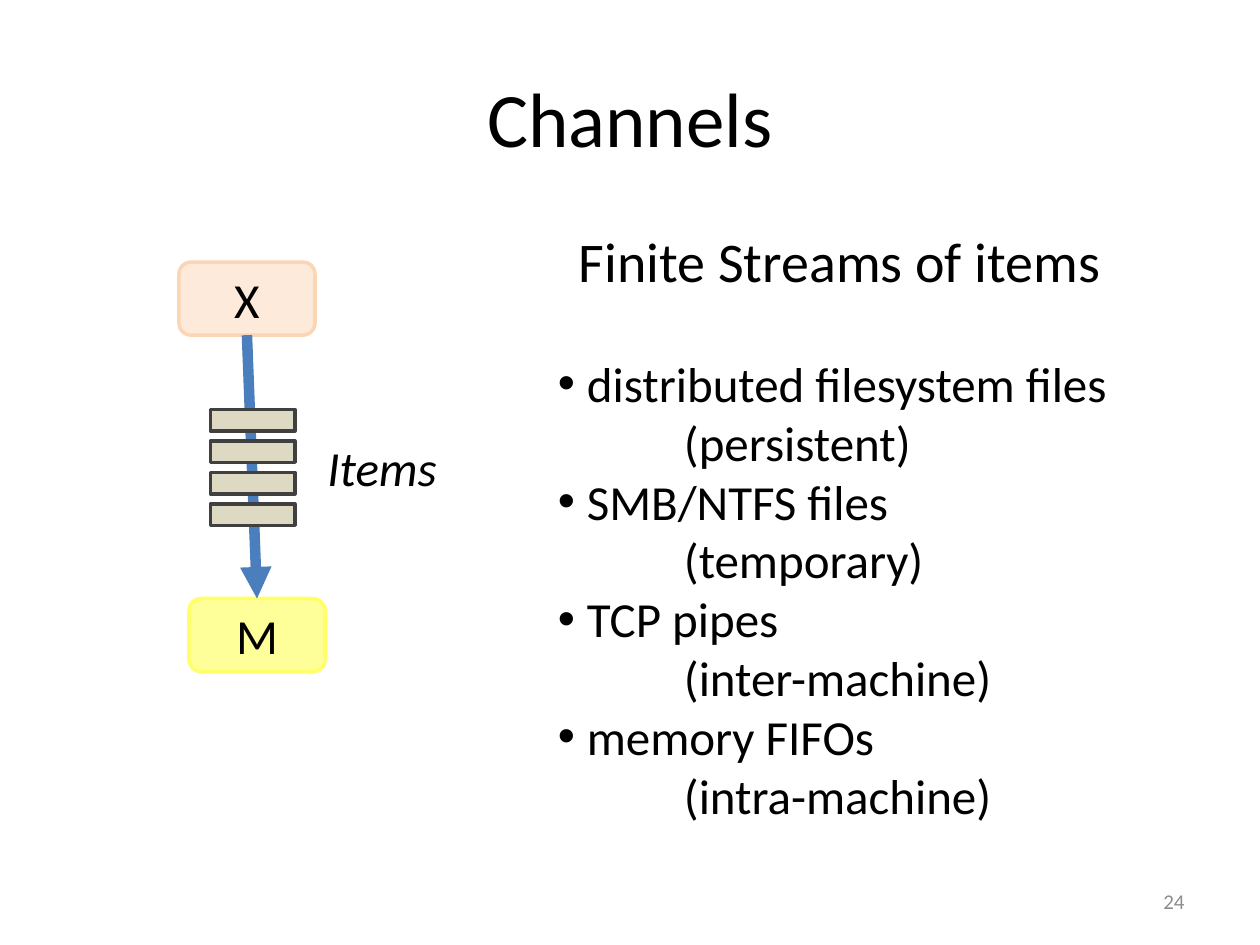
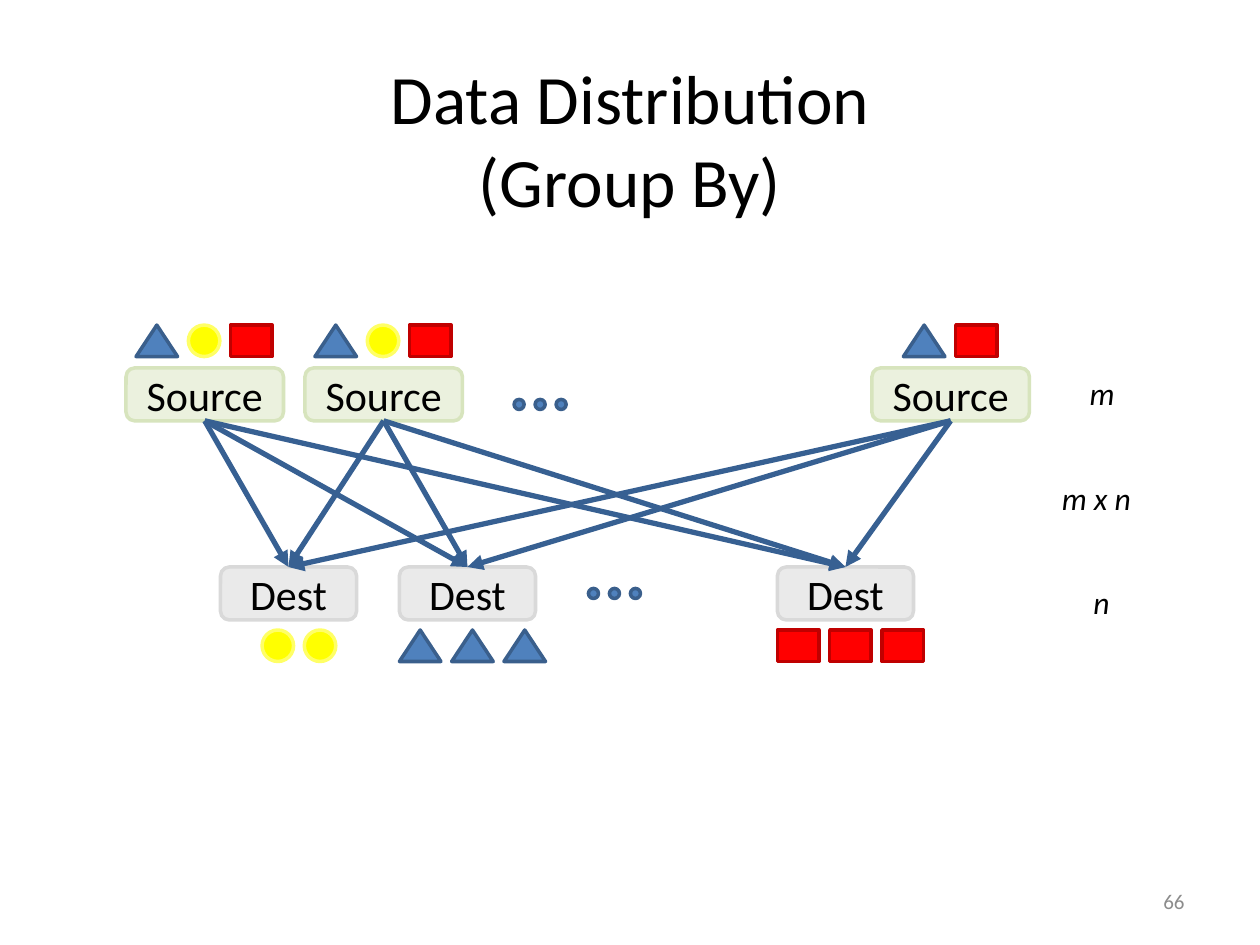
from pptx import Presentation
from pptx.dml.color import RGBColor
from pptx.enum import shapes, text
from pptx.oxml.ns import qn
from pptx.util import Inches, Pt
from lxml import etree

FONT = "Calibri"
BLACK, GREY, BLUE, NAVY = "000000", "8C8C8C", "4B7EBC", "376092"
KINDS = shapes.MSO_SHAPE
LEFT, CENTER, RIGHT = text.PP_ALIGN.LEFT, text.PP_ALIGN.CENTER, text.PP_ALIGN.RIGHT
MIDDLE, TOP = text.MSO_ANCHOR.MIDDLE, text.MSO_ANCHOR.TOP

STYLES = {
    "x": (KINDS.ROUNDED_RECTANGLE, "FDEADA", "FCD5B5"),
    "m": (KINDS.ROUNDED_RECTANGLE, "FFFF99", "FFFF66"),
    "source": (KINDS.ROUNDED_RECTANGLE, "EBF1DE", "D7E4BD"),
    "dest": (KINDS.ROUNDED_RECTANGLE, "EAEAEA", "D9D9D9"),
    "item": (KINDS.RECTANGLE, "DDD9C3", "404040"),
    "dot": (KINDS.OVAL, "4F81BD", "3A5F8C"),
    "triangle": (KINDS.ISOSCELES_TRIANGLE, "4F81BD", "3A5F8C"),
    "circle": (KINDS.OVAL, "FFFF00", "FFFF66"),
    "square": (KINDS.RECTANGLE, "FF0000", "C00000"),
}
TOKEN_WIDTHS = {"triangle": 0.33, "circle": 0.25, "square": 0.33}
TOKEN_HEIGHT, TOKEN_GAP = 0.25, 0.085

CHANNELS = [
    ("distributed filesystem files", "(persistent)"),
    ("SMB/NTFS files", "(temporary)"),
    ("TCP pipes", "(inter-machine)"),
    ("memory FIFOs", "(intra-machine)"),
]
SOURCES = [
    (1.0, 0.08, ["triangle", "circle", "square"]),
    (2.42, 0.08, ["triangle", "circle", "square"]),
    (6.92, 0.25, ["triangle", "square"]),
]
DESTS = [
    (1.75, 0.33, ["circle"] * 2),
    (3.17, 0, ["triangle"] * 3),
    (6.17, 0, ["square"] * 3),
]


def rgb(value):
    """Turn a hex string into a colour."""
    return RGBColor.from_string(value)


def inches(box):
    """Convert every length of a box to Inches."""
    return [Inches(length) for length in box]


def write(paragraph, words, size, color=BLACK, align=CENTER, **formats):
    """Fill a paragraph and set its font."""
    paragraph.text = words
    paragraph.alignment = align
    formats = {"name": FONT, "size": Pt(size), **formats}
    for key, value in formats.items():
        setattr(paragraph.font, key, value)
    paragraph.font.color.rgb = rgb(color)


def add_label(slide, box, words, size, anchor=TOP, **formats):
    """Add a wrapping text box with one paragraph."""
    frame = slide.shapes.add_textbox(*inches(box)).text_frame
    frame.word_wrap = True
    frame.vertical_anchor = anchor
    write(frame.paragraphs[0], words, size, **formats)
    return frame


def add_figure(slide, style, box, words="", size=28):
    """Add a filled and outlined shape of a named style."""
    kind, fill, line = STYLES[style]
    figure = slide.shapes.add_shape(kind, *inches(box))
    figure.shadow.inherit = False
    figure.fill.solid()
    figure.fill.fore_color.rgb = rgb(fill)
    figure.line.color.rgb = rgb(line)
    figure.line.width = Pt(2)
    if words:
        figure.text_frame.vertical_anchor = MIDDLE
        write(figure.text_frame.paragraphs[0], words, size)
    return figure


def add_arrow(slide, start, end, color, width):
    """Join the bottom of one box to the top of another."""
    arrow = slide.shapes.add_connector(shapes.MSO_CONNECTOR.STRAIGHT, 0, 0, 0, 0)
    arrow.begin_connect(start, 2)
    arrow.end_connect(end, 0)
    arrow.line.color.rgb = rgb(color)
    arrow.line.width = Pt(width)
    etree.SubElement(arrow.line._get_or_add_ln(), qn("a:tailEnd"), type="triangle")
    etree.SubElement(arrow._element.spPr, qn("a:effectLst"))


def add_page(deck, title, title_box, title_size, number):
    """Add a blank slide with its title and page number."""
    slide = deck.slides.add_slide(deck.slide_layouts[6])
    add_label(slide, title_box, title, title_size, MIDDLE)
    add_label(slide, (7.17, 6.95, 2.33, 0.4), number, 12, MIDDLE, color=GREY, align=RIGHT)
    return slide


def add_channel(slide, left, top):
    """Draw a vertex pair joined by a stream of items."""
    sender = add_figure(slide, "x", (left, top, 1.08, 0.58), "X")
    receiver = add_figure(slide, "m", (left + 0.08, top + 2.67, 1.08, 0.58), "M")
    add_arrow(slide, sender, receiver, BLUE, 6)
    for step in range(4):
        add_figure(slide, "item", (left + 0.25, top + 1.17 + 0.25 * step, 0.67, 0.17))
    add_label(slide, (left + 1.08, top + 1.34, 1.2, 0.57), "Items", 28, align=LEFT, italic=True)


def add_channel_list(slide, box):
    """List the kinds of channel, each with its lifetime below."""
    frame = add_label(slide, box, "Finite Streams of items", 32)
    for index, (channel, lifetime) in enumerate(CHANNELS):
        entry = frame.add_paragraph()
        write(entry, channel, 28, align=LEFT)
        if index == 0:
            entry.space_before = Pt(34)
        props = entry._p.get_or_add_pPr()
        props.set("marL", str(Inches(0.23)))
        props.set("indent", str(-Inches(0.23)))
        bullet_font = etree.Element(qn("a:buFont"), typeface="Arial")
        bullet = etree.Element(qn("a:buChar"), char="•")
        props.find(qn("a:defRPr")).addprevious(bullet_font)
        bullet_font.addnext(bullet)
        note = frame.add_paragraph()
        write(note, lifetime, 28, align=LEFT)
        note._p.get_or_add_pPr().set("marL", str(Inches(1)))


def add_tokens(slide, left, top, tokens):
    """Set tokens side by side with equal gaps."""
    for token in tokens:
        width = TOKEN_WIDTHS[token]
        add_figure(slide, token, (left, top, width, TOKEN_HEIGHT))
        left += width + TOKEN_GAP


def add_nodes(slide, nodes, style, top, width, token_top):
    """Draw a row of nodes with their tokens and return the nodes."""
    row = []
    for left, inset, tokens in nodes:
        box = (left, top, width, 0.42)
        row.append(add_figure(slide, style, box, style.capitalize(), 24))
        add_tokens(slide, left + inset, top + token_top, tokens)
    return row


def add_ellipsis(slide, left, top):
    """Draw three dots for the nodes left out."""
    for step in range(3):
        add_figure(slide, "dot", (left + step / 6, top, 0.08, 0.08))


def channels_slide(deck):
    """Build the slide on channels."""
    slide = add_page(deck, "Channels", (0.5, 0.3, 9, 1.25), 44, "24")
    add_channel(slide, 1.42, 2.08)
    add_channel_list(slide, (4.33, 1.75, 4.67, 4.88))


def distribution_slide(deck):
    """Build the slide on data distribution."""
    slide = add_page(deck, "Data Distribution\v(Group By)", (0.5, 0.33, 9, 1.53), 39.6, "66")
    sources = add_nodes(slide, SOURCES, "source", 2.92, 1.25, -0.34)
    dests = add_nodes(slide, DESTS, "dest", 4.5, 1.08, 0.5)
    for source in sources:
        for dest in dests:
            add_arrow(slide, source, dest, NAVY, 3)
    add_ellipsis(slide, 4.08, 3.17)
    add_ellipsis(slide, 4.67, 4.67)
    for left, top, width, count in [
        (8.55, 2.92, 0.4, "m"), (8.33, 3.75, 0.83, "m x n"), (8.58, 4.58, 0.33, "n")
    ]:
        add_label(slide, (left, top, width, 0.4), count, 18, align=LEFT, italic=True)


def main():
    """Build and save the deck."""
    deck = Presentation()
    deck.slide_width, deck.slide_height = Inches(10), Inches(7.5)
    channels_slide(deck)
    distribution_slide(deck)
    deck.save("out.pptx")


if __name__ == "__main__":
    main()
